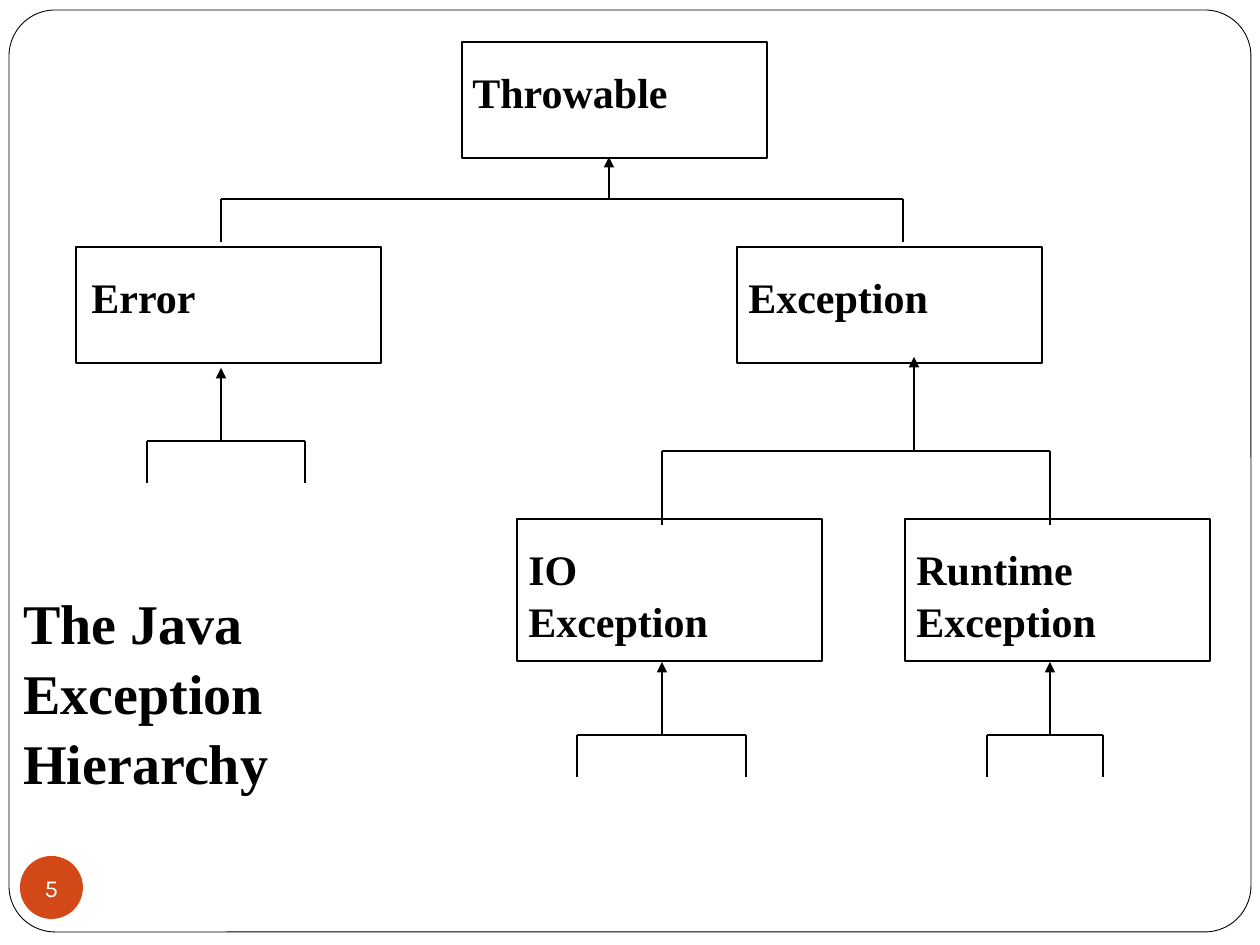
from lxml.etree import SubElement
from pptx import Presentation
from pptx.dml.color import RGBColor
from pptx.enum.shapes import MSO_CONNECTOR as Connector, MSO_SHAPE as Shape
from pptx.enum.text import MSO_ANCHOR as Anchor, MSO_AUTO_SIZE as AutoSize, PP_ALIGN as Align
from pptx.oxml.ns import qn
from pptx.util import Emu, Pt

COLORS = {"ink": "000000", "paper": "FFFFFF", "badge": "D34817"}
PX_PER_INCH = 126
SERIF = "Times New Roman"
BOX_WIDTH = 305

CLASSES = [
    ("Throwable", (462, 42, BOX_WIDTH, 116), (-2, 256)),
    ("Error", (76, 247, BOX_WIDTH, 116), (3, 144)),
    ("Exception", (737, 247, BOX_WIDTH, 116), (-1, 238)),
    ("Runtime\nException", (905, 519, BOX_WIDTH, 142), (-1, 238)),
    ("IO\nException", (517, 519, BOX_WIDTH, 142), (-1, 238)),
]

BRANCHES = [
    ((221, 157, 682, 85), 388, 42),
    ((662, 357, 388, 168), 252, 94),
    ((577, 662, 169, 115), 85, 73),
    ((987, 662, 116, 115), 63, 73),
    ((147, 368, 158, 115), 74, 73),
]


def px(value):
    return Emu(round(value * 914400 / PX_PER_INCH))


def color(name):
    return RGBColor.from_string(COLORS[name])


def add_outline(slide, kind, box, fill=None, line_width=None):
    outline = slide.shapes.add_shape(kind, *map(px, box))
    outline.shadow.inherit = False
    if fill:
        outline.fill.solid()
        outline.fill.fore_color.rgb = color(fill)
    else:
        outline.fill.background()
    if line_width:
        outline.line.color.rgb = color("ink")
        outline.line.width = Pt(line_width)
    else:
        outline.line.fill.background()
    return outline


def format_text(frame, size, font, ink, bold=False):
    for paragraph in frame.paragraphs:
        for run in paragraph.runs:
            run.font.size = Pt(size)
            run.font.name = font
            run.font.bold = bold
            run.font.color.rgb = color(ink)


def add_label(slide, box, text, size):
    frame = slide.shapes.add_textbox(*map(px, box)).text_frame
    frame.text = text
    frame.word_wrap = False
    frame.auto_size = AutoSize.SHAPE_TO_FIT_TEXT
    for paragraph in frame.paragraphs:
        paragraph.line_spacing = 1.04
    format_text(frame, size, SERIF, "ink", True)


def add_class(slide, box, name, label_shift, label_width):
    left, top, width, height = box
    add_outline(slide, Shape.RECTANGLE, box, line_width=0.75)
    label_height = 63 if "\n" not in name else 113
    add_label(slide, (left + label_shift, top + 16, label_width, label_height), name, 24)


def add_line(slide, start, end, arrow=False):
    line = slide.shapes.add_connector(Connector.STRAIGHT, *map(px, start + end))
    line.line.color.rgb = color("ink")
    line.line.width = Pt(0.75)
    if arrow:
        SubElement(line.line._get_or_add_ln(), qn("a:tailEnd"), type="triangle")
    SubElement(line._element.spPr, qn("a:effectLst"))


def add_branch(slide, box, stem_offset, bar_offset):
    left, top, width, height = box
    right, bottom = left + width, top + height
    stem, bar = left + stem_offset, top + bar_offset
    add_line(slide, (left, bar), (right, bar))
    for child in (left, right):
        add_line(slide, (child, bar), (child, bottom))
    add_line(slide, (stem, bar), (stem, top), arrow=True)


def add_frame(slide, box):
    border = add_outline(slide, Shape.ROUNDED_RECTANGLE, box, "paper", 0.5)
    border.adjustments[0] = 0.05


def add_page_badge(slide, box, number):
    badge = add_outline(slide, Shape.OVAL, box, "badge")
    frame = badge.text_frame
    frame.text = number
    frame.word_wrap = False
    frame.vertical_anchor = Anchor.MIDDLE
    frame.margin_left = frame.margin_right = frame.margin_top = frame.margin_bottom = 0
    frame.paragraphs[0].alignment = Align.CENTER
    format_text(frame, 14, "Karla", "paper")


def main():
    deck = Presentation()
    deck.slide_width, deck.slide_height = px(1260), px(945)
    slide = deck.slides.add_slide(deck.slide_layouts[6])
    add_frame(slide, (9, 10, 1242, 922))
    for name, box, (label_shift, label_width) in CLASSES:
        add_class(slide, box, name, label_shift, label_width)
    for box, stem_offset, bar_offset in BRANCHES:
        add_branch(slide, box, stem_offset, bar_offset)
    add_label(slide, (11, 580, 324, 214), "The Java\nException\nHierarchy", 32)
    add_page_badge(slide, (20, 856, 63, 63), "5")
    deck.save("out.pptx")


if __name__ == "__main__":
    main()
